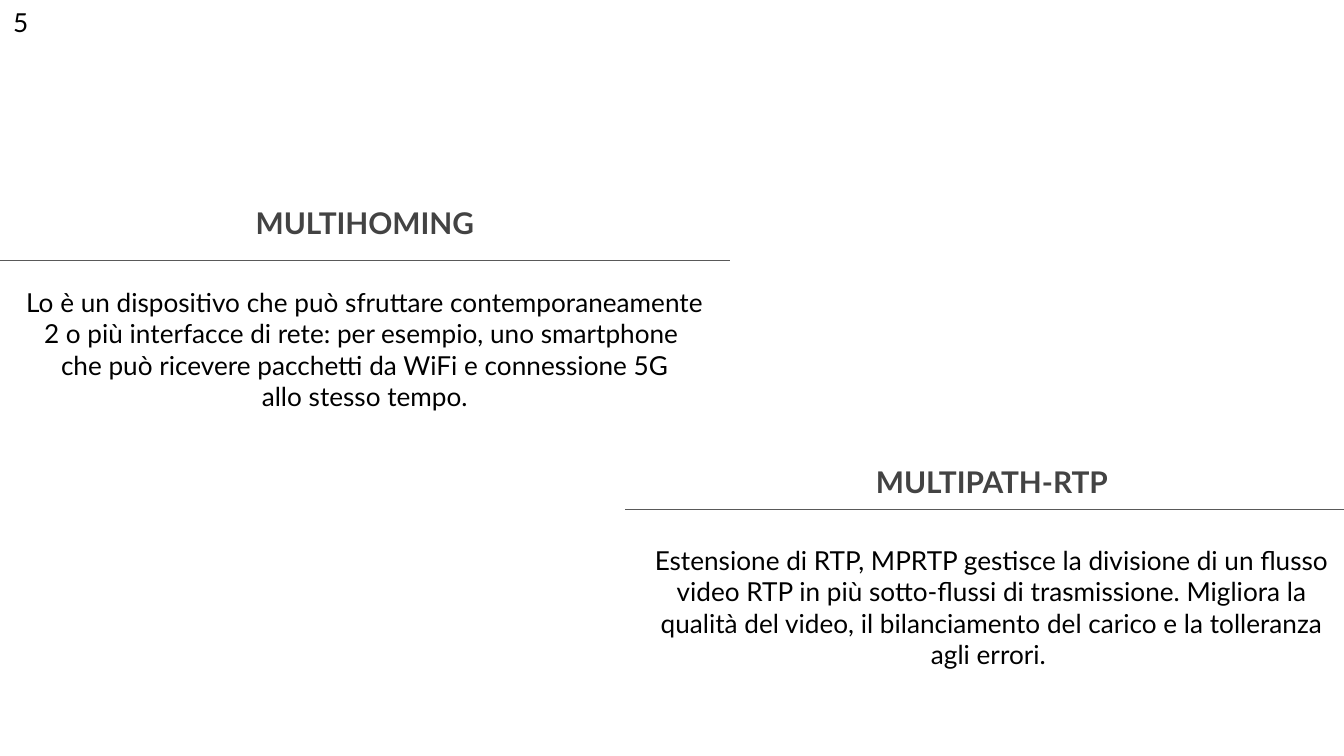
from dataclasses import dataclass

from lxml.etree import SubElement
from pptx import Presentation
from pptx.dml.color import RGBColor
from pptx.enum.shapes import MSO_CONNECTOR as Connector
from pptx.enum.text import MSO_ANCHOR as Anchor, MSO_AUTO_SIZE as AutoSize, PP_ALIGN as Align
from pptx.oxml.ns import qn
from pptx.slide import Slide
from pptx.util import Pt

FONT = "Lato"
BLACK = "000000"
HEADING_COLOR = "434343"
RULE_COLOR = "595959"
BODY_SIZE = 14
HEADING_SIZE = 16


@dataclass
class Box:
    left: float
    top: float
    width: float
    height: float


@dataclass
class Rule:
    start: float
    end: float
    top: float


@dataclass
class Topic:
    heading: str
    lines: list[str]
    heading_index: int
    heading_box: Box
    body_box: Box
    rule: Rule


TOPICS = [
    Topic(
        "MULTIHOMING",
        [
            "Lo è un dispositivo che può sfruttare contemporaneamente",
            "2 o più interfacce di rete: per esempio, uno smartphone ",
            "che può ricevere pacchetti da WiFi e connessione 5G",
            "allo stesso tempo.",
        ],
        1,
        Box(-13, 102.2, 417, 74),
        Box(0, 149.8, 391, 75),
        Rule(391, -3.6, 139.7),
    ),
    Topic(
        "MULTIPATH-RTP",
        [
            "Estensione di RTP, MPRTP gestisce la divisione di un flusso "
            "video RTP in più sotto-flussi di trasmissione. Migliora la "
            "qualità del video, il bilanciamento del carico e la tolleranza "
            "agli errori. "
        ],
        3,
        Box(326.2, 241.2, 410.4, 74),
        Box(342.7, 288, 377.3, 75),
        Rule(723, 334.8, 272.9),
    ),
]


def rgb(color: str) -> RGBColor:
    return RGBColor.from_string(color)


def add_run(paragraph, text: str, size: float, color: str, bold: bool = False) -> None:
    run = paragraph.add_run()
    run.text = text
    run.font.name = FONT
    run.font.size = Pt(size)
    run.font.bold = bold
    run.font.color.rgb = rgb(color)


def fill_placeholder(shape, box: Box, lines: list[str], size: float, color: str,
                     bold: bool = False, inset: float = 3.6) -> None:
    shape.left, shape.top = Pt(box.left), Pt(box.top)
    shape.width, shape.height = Pt(box.width), Pt(box.height)
    frame = shape.text_frame
    frame.word_wrap = True
    frame.auto_size = AutoSize.NONE
    frame.vertical_anchor = Anchor.TOP
    frame.margin_left = frame.margin_right = Pt(7.2)
    frame.margin_top = frame.margin_bottom = Pt(inset)
    for number, line in enumerate(lines):
        paragraph = frame.add_paragraph() if number else frame.paragraphs[0]
        properties = paragraph._p.get_or_add_pPr()
        properties.set("marL", "0")
        properties.set("indent", "0")
        SubElement(properties, qn("a:buNone"))
        paragraph.alignment = Align.CENTER
        paragraph.space_before = Pt(0)
        add_run(paragraph, line, size, color, bold)


def add_rule(slide: Slide, rule: Rule) -> None:
    connector = slide.shapes.add_connector(
        Connector.STRAIGHT, Pt(rule.start), Pt(rule.top), Pt(rule.end), Pt(rule.top))
    connector.line.color.rgb = rgb(RULE_COLOR)
    connector.line.width = Pt(0.75)
    SubElement(connector._element.spPr, qn("a:effectLst"))


def add_topic(slide: Slide, topic: Topic) -> None:
    placeholders = {shape.placeholder_format.idx: shape for shape in slide.placeholders}
    add_rule(slide, topic.rule)
    fill_placeholder(placeholders[topic.heading_index], topic.heading_box,
                     [topic.heading], HEADING_SIZE, HEADING_COLOR, True, 7.2)
    fill_placeholder(placeholders[topic.heading_index + 1], topic.body_box,
                     topic.lines, BODY_SIZE, BLACK)


def add_page_number(slide: Slide, number: str) -> None:
    shape = slide.shapes.add_textbox(Pt(0), Pt(0), Pt(22.3), Pt(24.5))
    frame = shape.text_frame
    frame.word_wrap = False
    frame.auto_size = AutoSize.SHAPE_TO_FIT_TEXT
    add_run(frame.paragraphs[0], number, BODY_SIZE, BLACK)


def main() -> None:
    presentation = Presentation()
    presentation.slide_width = Pt(720)
    presentation.slide_height = Pt(405)
    slide = presentation.slides.add_slide(
        presentation.slide_layouts.get_by_name("Comparison"))
    title = slide.shapes.title._element
    title.getparent().remove(title)
    for topic in TOPICS:
        add_topic(slide, topic)
    add_page_number(slide, "5")
    presentation.save("out.pptx")


if __name__ == "__main__":
    main()
